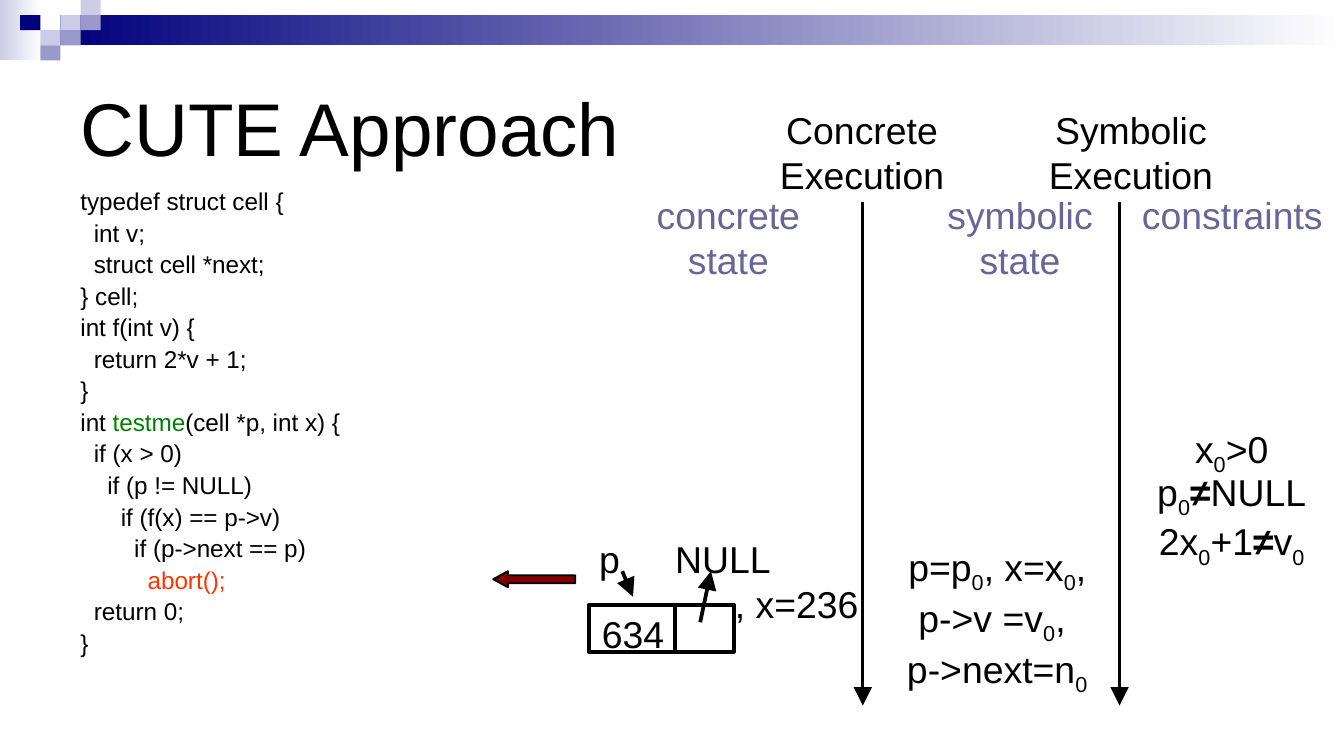
from lxml import etree
from pptx import Presentation
from pptx.dml.color import RGBColor
from pptx.enum.shapes import MSO_CONNECTOR, MSO_SHAPE
from pptx.enum.text import MSO_ANCHOR, PP_ALIGN
from pptx.oxml.ns import qn
from pptx.util import Inches, Pt

RECTANGLE = MSO_SHAPE.RECTANGLE
LEFT_ARROW = MSO_SHAPE.LEFT_ARROW
STRAIGHT = MSO_CONNECTOR.STRAIGHT
LEFT, CENTER = PP_ALIGN.LEFT, PP_ALIGN.CENTER
TOP, MIDDLE = MSO_ANCHOR.TOP, MSO_ANCHOR.MIDDLE

BLACK, WHITE, NAVY, MAROON = "000000", "FFFFFF", "00007D", "800000"
PALE, LILAC, SLATE = "CCCCE6", "9999CC", "666699"
GREEN, RED = "008000", "FF3300"
SUB = {"subscript": True}
BOLD = {"bold": True}

CODE = [
    [("typedef struct cell {", {})],
    [("  int v;", {})],
    [("  struct cell *next;", {})],
    [("} cell;", {})],
    [("int f(int v) {", {})],
    [("  return 2*v + 1;", {})],
    [("}", {})],
    [("int ", {}), ("testme", {"color": GREEN}), ("(cell *p, int x) {", {})],
    [("  if (x > 0)", {})],
    [("    if (p != NULL)", {})],
    [("      if (f(x) == p->v)", {})],
    [("        if (p->next == p)", {})],
    [("          ", {}), ("abort();", {"color": RED})],
    [("  return 0;", {})],
    [("}", {})],
]
SYMBOLIC_STATE = [
    [("p=p", {}), ("0", SUB), (", x=x", {}), ("0", SUB), (",", {})],
    [("p->v =v", {}), ("0", SUB), (", ", {})],
    [("p->next=n", {}), ("0", SUB)],
]
CONSTRAINTS = [
    (0, [("x", {}), ("0", SUB), (">0", {})]),
    (0.32, [("p", {}), ("0", SUB), ("≠", BOLD), ("NULL", {})]),
    (0.69, [("2x", {}), ("0", SUB), ("+1", {}), ("≠", BOLD), ("v", {}), ("0", SUB)]),
]


def rgb(color):
    return RGBColor.from_string(color)


def plain(text):
    return [[(text, {})]]


def add_run(paragraph, text, size, color, bold=False, subscript=False):
    run = paragraph.add_run()
    run.text = text
    run.font.name = "Arial"
    run.font.size = Pt(size)
    run.font.bold = bold
    run.font.color.rgb = rgb(color)
    if subscript:
        run.font._element.set("baseline", "-25000")


def write(shape, lines, size=20, color=BLACK, align=CENTER, anchor=TOP):
    frame = shape.text_frame
    frame.word_wrap = True
    frame.vertical_anchor = anchor
    for index, runs in enumerate(lines):
        paragraph = frame.add_paragraph() if index else frame.paragraphs[0]
        paragraph.alignment = align
        for text, style in runs:
            add_run(paragraph, text, size, **{"color": color, **style})
    return frame.paragraphs


def add_text(slide, box, lines, **style):
    shape = slide.shapes.add_textbox(*map(Inches, box))
    return write(shape, lines, **style)


def add_box(slide, kind, box, fill=None, line=None, width=1):
    shape = slide.shapes.add_shape(kind, *map(Inches, box))
    shape.shadow.inherit = False
    if fill:
        shape.fill.solid()
        shape.fill.fore_color.rgb = rgb(fill)
    else:
        shape.fill.background()
    if line:
        shape.line.color.rgb = rgb(line)
        shape.line.width = Pt(width)
    else:
        shape.line.fill.background()
    return shape


def add_fade(slide, box, color):
    shape = add_box(slide, RECTANGLE, box)
    shape.fill.gradient()
    shape.fill.gradient_angle = 0
    for stop, stop_color, position in zip(shape.fill.gradient_stops, (color, WHITE), (0, 1)):
        stop.color.rgb = rgb(stop_color)
        stop.position = position


def add_line(slide, start, end, width, arrow=True):
    connector = slide.shapes.add_connector(STRAIGHT, *map(Inches, start + end))
    connector.line.color.rgb = rgb(BLACK)
    connector.line.width = Pt(width)
    if arrow:
        line = connector.line._get_or_add_ln()
        etree.SubElement(line, qn("a:tailEnd"), type="triangle", w="lg", len="lg")
    etree.SubElement(connector._element.spPr, qn("a:effectLst"))


def add_banner(slide, left, top, width, height):
    cell_width, cell_height = 0.15, height / 4
    add_fade(slide, (left, top, 0.31, height), PALE)
    add_fade(slide, (left + 3 * cell_width, top + cell_height, width - 3 * cell_width, 2 * cell_height), NAVY)
    cells = [(3, 1, PALE), (4, 0, PALE), (4, 1, LILAC), (2, 2, PALE),
             (1, 1, NAVY), (3, 2, LILAC), (2, 3, LILAC)]
    for column, row, color in cells:
        place = (left + column * cell_width, top + row * cell_height, cell_width, cell_height)
        add_box(slide, RECTANGLE, place, color)


def add_code(slide, left, top, width, height):
    paragraphs = add_text(slide, (left, top, width, height), CODE, size=13, align=LEFT)
    for index, paragraph in enumerate(paragraphs):
        paragraph.line_spacing = 0.8
        if index:
            paragraph.space_before = Pt(4.4)
        properties = paragraph._p.get_or_add_pPr()
        properties.set("marL", str(Inches(0.38)))
        properties.set("indent", str(Inches(-0.38)))


def add_execution_columns(slide, left, top, width, height):
    for offset in (1.75, 3.66):
        add_line(slide, (left + offset, top + 0.75), (left + offset, top + height), 1.5)
    for offset, heading in ((0.91, "Concrete Execution"), (2.91, "Symbolic Execution")):
        add_text(slide, (left + offset, top, 1.67, 0.58), plain(heading))
    labels = [(0, 1.5, 0.58, "concrete state"), (2.17, 1.5, 0.58, "symbolic state"),
              (3.67, width - 3.67, 0.32, "constraints")]
    for offset, label_width, label_height, label in labels:
        place = (left + offset, top + 0.63, label_width, label_height)
        add_text(slide, place, plain(label), color=SLATE)


def add_concrete_state(slide, left, top, width, height):
    arrow = add_box(slide, LEFT_ARROW, (left, top + 0.31, 0.61, 0.12), MAROON, BLACK)
    arrow.adjustments[1] = 0.91
    lines = [[("p", {})], [(", x=236", {})]]
    paragraphs = add_text(slide, (left + 0.54, top, width - 0.54, 0.58), lines, align=LEFT)
    for paragraph, indent in zip(paragraphs, (0.15, 1.16)):
        paragraph._p.get_or_add_pPr().set("marL", str(Inches(indent)))
    add_line(slide, (left + 0.96, top + 0.31), (left + 1.04, top + 0.5), 2)
    add_line(slide, (left + 1.54, top + 0.69), (left + 1.62, top + 0.31), 2)
    add_text(slide, (left + 1.21, top, 1, 0.32), plain("NULL"))
    cell_top = top + 0.56
    cell = add_box(slide, RECTANGLE, (left + 0.71, cell_top, 1.08, 0.35), None, BLACK, 2)
    write(cell, plain("634"), align=LEFT)
    add_line(slide, (left + 1.35, top + height), (left + 1.35, cell_top), 2, arrow=False)


def add_constraints(slide, left, top, width):
    for offset, runs in CONSTRAINTS:
        add_text(slide, (left, top + offset, width, 0.33), [runs])


def main():
    presentation = Presentation()
    presentation.slide_width = Inches(10)
    presentation.slide_height = Inches(10 * 9 / 16)
    slide = presentation.slides.add_slide(presentation.slide_layouts[6])
    add_banner(slide, 0, 0, 10, 0.45)
    add_text(slide, (0.5, 0.38, 9, 1.12), plain("CUTE Approach"), size=40, align=LEFT, anchor=MIDDLE)
    add_code(slide, 0.5, 1.38, 4.42, 3.44)
    add_execution_columns(slide, 4.67, 0.75, 5.33, 4.5)
    add_text(slide, (6.46, 4, 1.92, 0.83), SYMBOLIC_STATE)
    add_concrete_state(slide, 3.67, 3.94, 2.87, 0.91)
    add_constraints(slide, 8.33, 3.12, 1.67)
    presentation.save("out.pptx")


if __name__ == "__main__":
    main()
